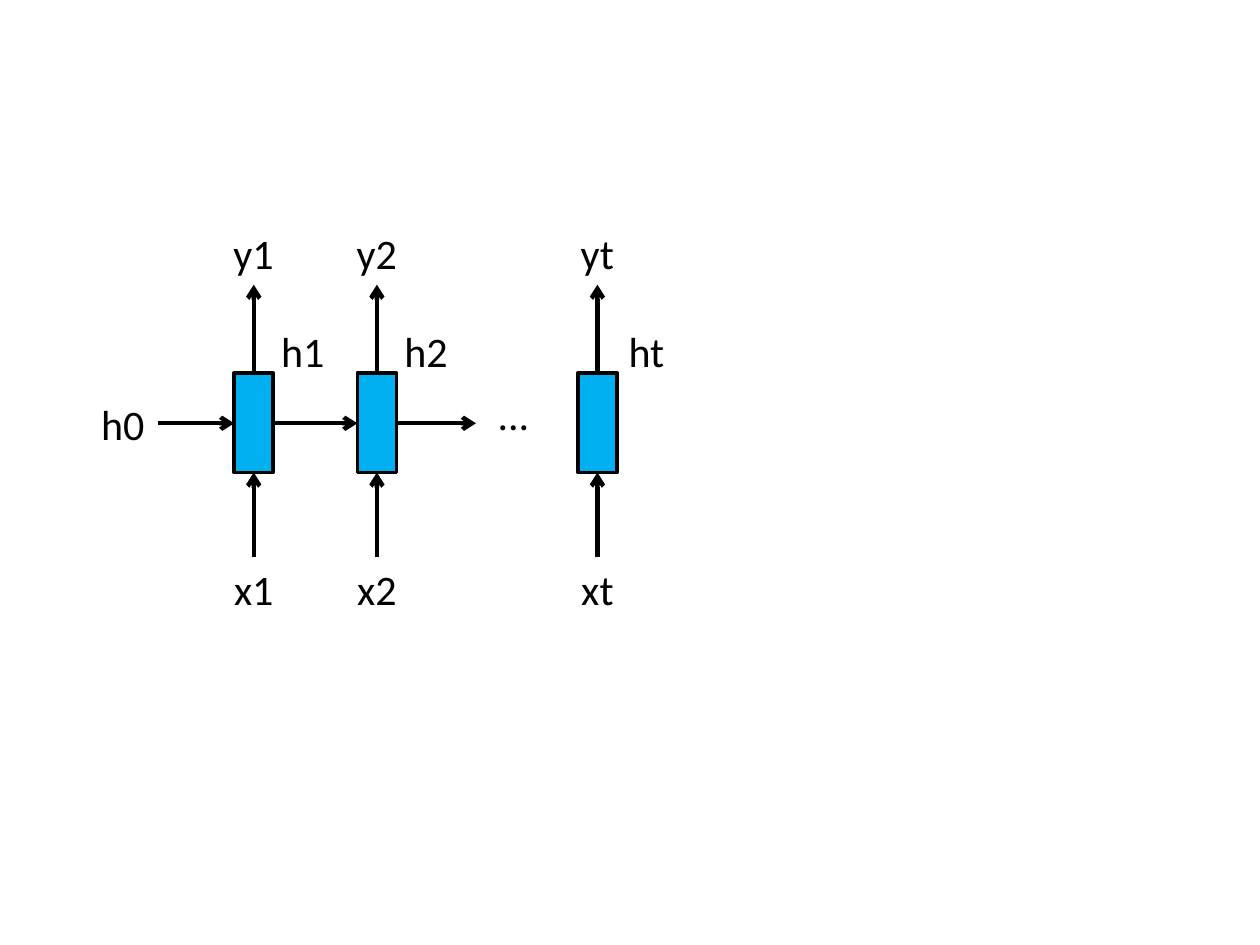
from lxml.etree import SubElement
from pptx import Presentation
from pptx.dml.color import RGBColor
from pptx.enum.shapes import MSO_CONNECTOR, MSO_SHAPE
from pptx.enum.text import MSO_AUTO_SIZE, PP_ALIGN
from pptx.oxml.ns import qn
from pptx.util import Pt

BLACK = RGBColor(0x00, 0x00, 0x00)
BLUE = RGBColor(0x00, 0xB0, 0xF0)


class Sketch:
    """Draws the parts of an unrolled recurrent network on one slide."""

    font = "Calibri"
    size = 24

    def __init__(self, slide):
        self.shapes = slide.shapes

    def label(self, text, mid, top, width, align=PP_ALIGN.CENTER):
        box = self.shapes.add_textbox(Pt(mid - width / 2), Pt(top), Pt(width), Pt(36.3))
        frame = box.text_frame
        frame.text = text
        frame.word_wrap = False
        frame.auto_size = MSO_AUTO_SIZE.SHAPE_TO_FIT_TEXT
        para = frame.paragraphs[0]
        para.alignment = align
        font = para.runs[0].font
        font.name = self.font
        font.size = Pt(self.size)
        font.color.rgb = BLACK

    def cell(self, left, top, width, height):
        box = self.shapes.add_shape(
            MSO_SHAPE.RECTANGLE, Pt(left), Pt(top), Pt(width), Pt(height))
        box.shadow.inherit = False
        box.fill.solid()
        box.fill.fore_color.rgb = BLUE
        box.line.color.rgb = BLACK
        box.line.width = Pt(2)

    def arrow(self, x1, y1, x2, y2):
        link = self.shapes.add_connector(
            MSO_CONNECTOR.STRAIGHT, Pt(x1), Pt(y1), Pt(x2), Pt(y2))
        link.line.color.rgb = BLACK
        link.line.width = Pt(2.5)
        props = link._element.spPr
        SubElement(props.find(qn("a:ln")), qn("a:tailEnd"), type="arrow")
        SubElement(props, qn("a:effectLst"))


def main():
    deck = Presentation()
    deck.slide_width, deck.slide_height = Pt(720), Pt(540)
    sketch = Sketch(deck.slides.add_slide(deck.slide_layouts[6]))

    wide, high = 22.3, 57
    top = 213
    base = top + high
    steps = [("1", 145, 37.4, 39.6), ("2", 215.4, 37.4, 39.6), ("t", 341.4, 33.4, 35.3)]
    for step, mid, width, span in steps:
        sketch.arrow(mid, top, mid, 162.7)
        sketch.cell(mid - wide / 2, top, wide, high)
        sketch.arrow(mid, 318.2, mid, base)
        sketch.label("x" + step, mid, 318.2, width)
        sketch.label("y" + step, mid, 126.7, width, PP_ALIGN.LEFT)
        sketch.label("h" + step, mid + 28, 182.6, span)

    flow = 241.9
    first, second = steps[0][1], steps[1][1]
    half = wide / 2
    for start, end in [(90, first - half), (first + half, second - half), (second + half, 272)]:
        sketch.arrow(start, flow, end, flow)
    sketch.label("h0", 70.2, 223.9, 39.6)
    sketch.label("...", 293.4, 218.2, 32.4)
    deck.save("out.pptx")


if __name__ == "__main__":
    main()
